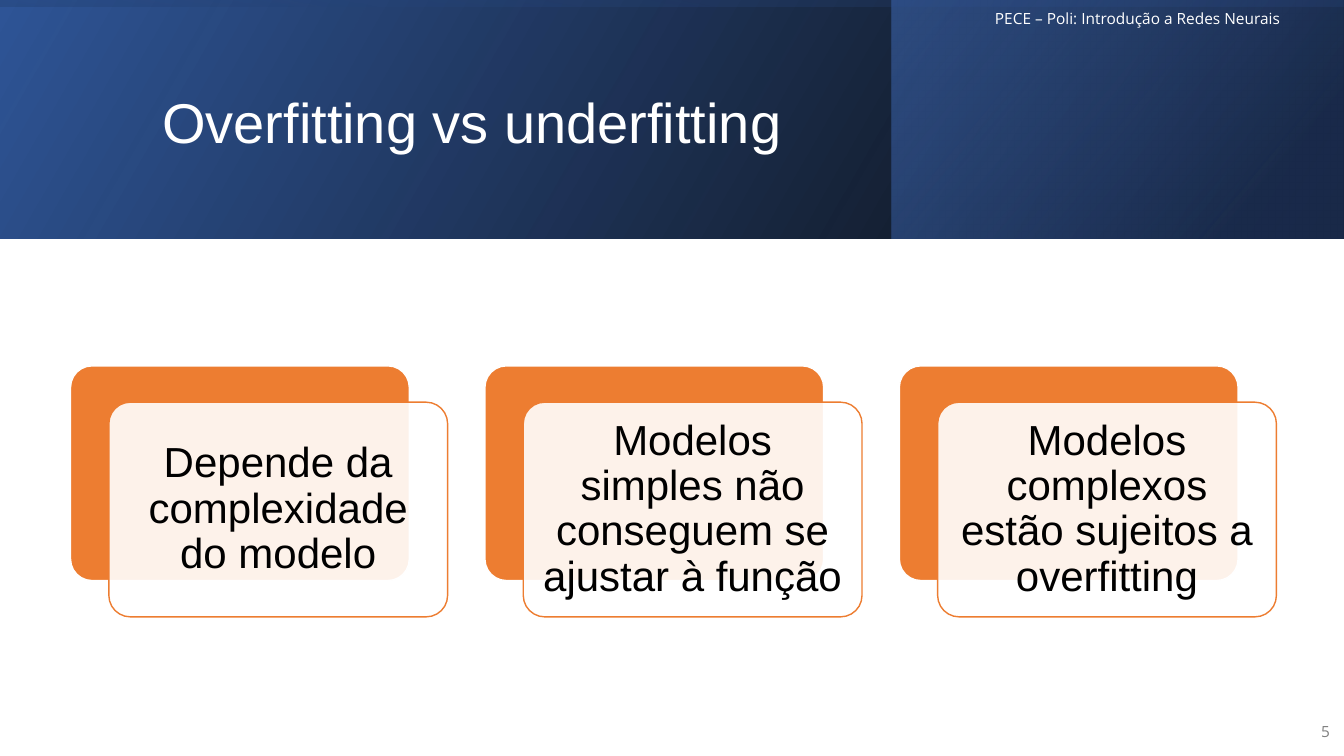
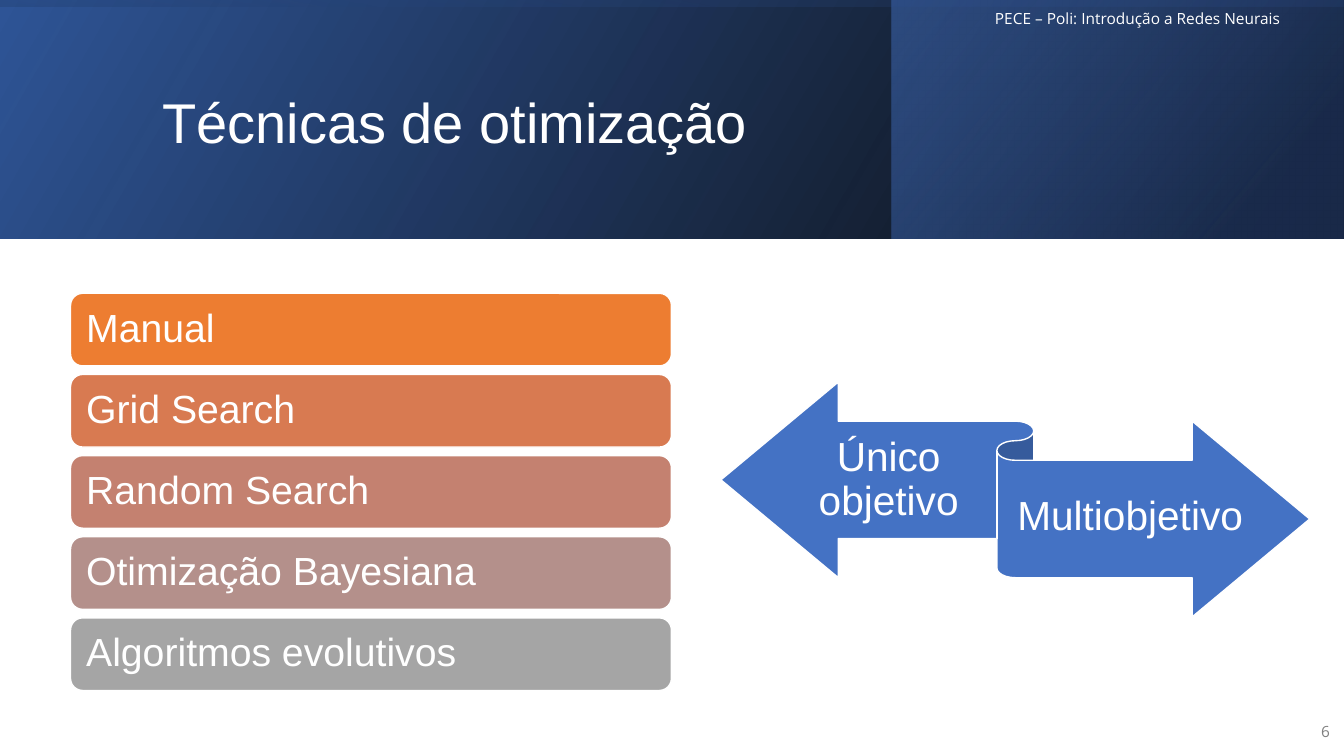
from dataclasses import dataclass

from lxml.etree import SubElement
from pptx import Presentation
from pptx.dml.color import RGBColor
from pptx.enum.shapes import MSO_SHAPE
from pptx.enum.text import MSO_ANCHOR, MSO_AUTO_SIZE, PP_ALIGN
from pptx.oxml.ns import qn
from pptx.util import Inches, Pt


@dataclass(frozen=True)
class Theme:
    font: str = "Arial"
    small_font: str = "Open Sans"
    white: str = "FFFFFF"
    black: str = "000000"
    gray: str = "808080"
    orange: str = "ED7D31"
    blue: str = "4472C4"
    deep_blue: str = "2F5597"
    navy: str = "203864"
    row_fills: tuple = ("ED7D31", "D87A51", "C48170", "B4908B", "A5A5A5")
    title_size: int = 40
    card_size: int = 30
    ribbon_size: int = 29
    row_size: int = 28
    small_size: int = 11


T = Theme()
COURSE = "PECE – Poli: Introdução a Redes Neurais"
TITLE_ONLY = 5
BAND_W, BAND_H = 13.33, 2.37


# Text and fill helpers
def write(shape, text, size=T.card_size, color=T.white, font=T.font,
          align=PP_ALIGN.LEFT, spacing=0.9, insets=(0.1, 0.05, 0.1, 0.05)):
    """Fill a shape's text frame; insets are left, top, right, bottom."""
    tf = shape.text_frame
    tf.word_wrap = True
    tf.auto_size = MSO_AUTO_SIZE.NONE
    tf.vertical_anchor = MSO_ANCHOR.MIDDLE
    (tf.margin_left, tf.margin_top,
     tf.margin_right, tf.margin_bottom) = map(Inches, insets)
    p = tf.paragraphs[0]
    p.alignment = align
    p.line_spacing = spacing
    r = p.add_run()
    r.text = text
    r.font.size = Pt(size)
    r.font.name = font
    r.font.color.rgb = RGBColor.from_string(color)


def add_text(s, box, text, **fmt):
    write(s.shapes.add_textbox(*map(Inches, box)), text, **fmt)


def set_alpha(color_parent, percent):
    color = next(color_parent.iter(qn("a:srgbClr")))
    SubElement(color, qn("a:alpha")).set("val", str(percent * 1000))


def add_solid(s, kind, box, fill, line=T.white, alpha=100, adj=None):
    shape = s.shapes.add_shape(kind, *map(Inches, box))
    shape.shadow.inherit = False
    shape.fill.solid()
    shape.fill.fore_color.rgb = RGBColor.from_string(fill)
    if alpha < 100:
        set_alpha(shape.element.spPr.find(qn("a:solidFill")), alpha)
    shape.line.color.rgb = RGBColor.from_string(line)
    shape.line.width = Pt(1)
    if adj is not None:
        shape.adjustments[0] = adj
    return shape


def add_gradient_band(s, box, stops, angle, rotation=0):
    """Draw a mirrored band; stops are (position %, colour, opacity %)."""
    band = s.shapes.add_shape(MSO_SHAPE.RECTANGLE, *map(Inches, box))
    band.shadow.inherit = False
    band.line.fill.background()
    band.rotation = rotation
    spPr = band.element.spPr
    spPr.find(qn("a:xfrm")).set("flipH", "1")
    band.fill.gradient()
    band.fill.gradient_angle = angle
    marks = spPr.iter(qn("a:gs"))
    for stop, mark, (pos, color, alpha) in zip(
            band.fill.gradient_stops, marks, stops):
        stop.position = pos / 100
        stop.color.rgb = RGBColor.from_string(color)
        if alpha < 100:
            set_alpha(mark, alpha)


# Shared slide frame: header bands, title, course name, number
def add_framed_slide(prs, title, number):
    s = prs.slides.add_slide(prs.slide_layouts[TITLE_ONLY])
    add_gradient_band(s, (0, 0, BAND_W, BAND_H),
                      ((0, T.black, 96), (100, T.deep_blue, 100)), 30)
    add_gradient_band(s, (8.84, 0, 4.48, BAND_H),
                      ((19, T.navy, 68), (100, T.blue, 48)), 40)
    offset = (BAND_W - BAND_H) / 2
    add_gradient_band(s, (offset, -offset, BAND_H, BAND_W),
                      ((23, T.deep_blue, 16), (99, T.black, 45)), 10, 270)

    ph = s.shapes.title
    ph.left, ph.top, ph.width, ph.height = map(
        Inches, (1.51, 0.38, 10.63, 1.72))
    write(ph, title, size=T.title_size)
    ph.element.getparent().append(ph.element)  # bring above the bands

    small = dict(size=T.small_size, font=T.small_font, spacing=1.0)
    add_text(s, (9.77, -0.02, 3.57, 0.4), COURSE, **small)
    add_text(s, (12.8, 7.06, 0.49, 0.4), str(number), color=T.gray,
             align=PP_ALIGN.RIGHT, **small)
    return s


# Content elements
def add_cards(s, texts):
    left, top, width, height, step = 0.7, 3.63, 3.36, 2.13, 4.11
    for i, text in enumerate(texts):
        x = left + i * step
        add_solid(s, MSO_SHAPE.ROUNDED_RECTANGLE, (x, top, width, height),
                  T.orange, adj=0.1)
        front = add_solid(s, MSO_SHAPE.ROUNDED_RECTANGLE,
                          (x + 0.38, top + 0.36, width, height),
                          T.white, line=T.orange, alpha=90, adj=0.1)
        write(front, text, color=T.black, align=PP_ALIGN.CENTER,
              insets=(0.12,) * 4)


def add_rows(s, texts):
    top, step = 2.91, 0.805
    for i, (text, fill) in enumerate(zip(texts, T.row_fills)):
        row = add_solid(s, MSO_SHAPE.ROUNDED_RECTANGLE,
                        (0.7, top + i * step, 5.96, 0.72), fill)
        write(row, text, size=T.row_size, insets=(0.12,) * 4)


def add_ribbon(s, left_text, right_text):
    add_solid(s, MSO_SHAPE.LEFT_RIGHT_RIBBON, (7.15, 3.79, 5.84, 2.33), T.blue)
    for box, text in (((7.85, 4.2, 1.93, 1.14), left_text),
                      ((10.07, 4.57, 2.28, 1.14), right_text)):
        add_text(s, box, text, size=T.ribbon_size, align=PP_ALIGN.CENTER,
                 insets=(0, 0.11, 0, 0.12))


def main():
    prs = Presentation()
    prs.slide_width, prs.slide_height = Inches(13.33), Inches(7.5)

    s = add_framed_slide(prs, "Overfitting vs underfitting", 5)
    add_cards(s, ("Depende da complexidade do modelo",
                  "Modelos simples não conseguem se ajustar à função",
                  "Modelos complexos estão sujeitos a overfitting"))

    s = add_framed_slide(prs, "Técnicas de otimização", 6)
    add_rows(s, ("Manual", "Grid Search", "Random Search",
                 "Otimização Bayesiana", "Algoritmos evolutivos"))
    add_ribbon(s, "Único objetivo", "Multiobjetivo")

    prs.save("out.pptx")


if __name__ == "__main__":
    main()
